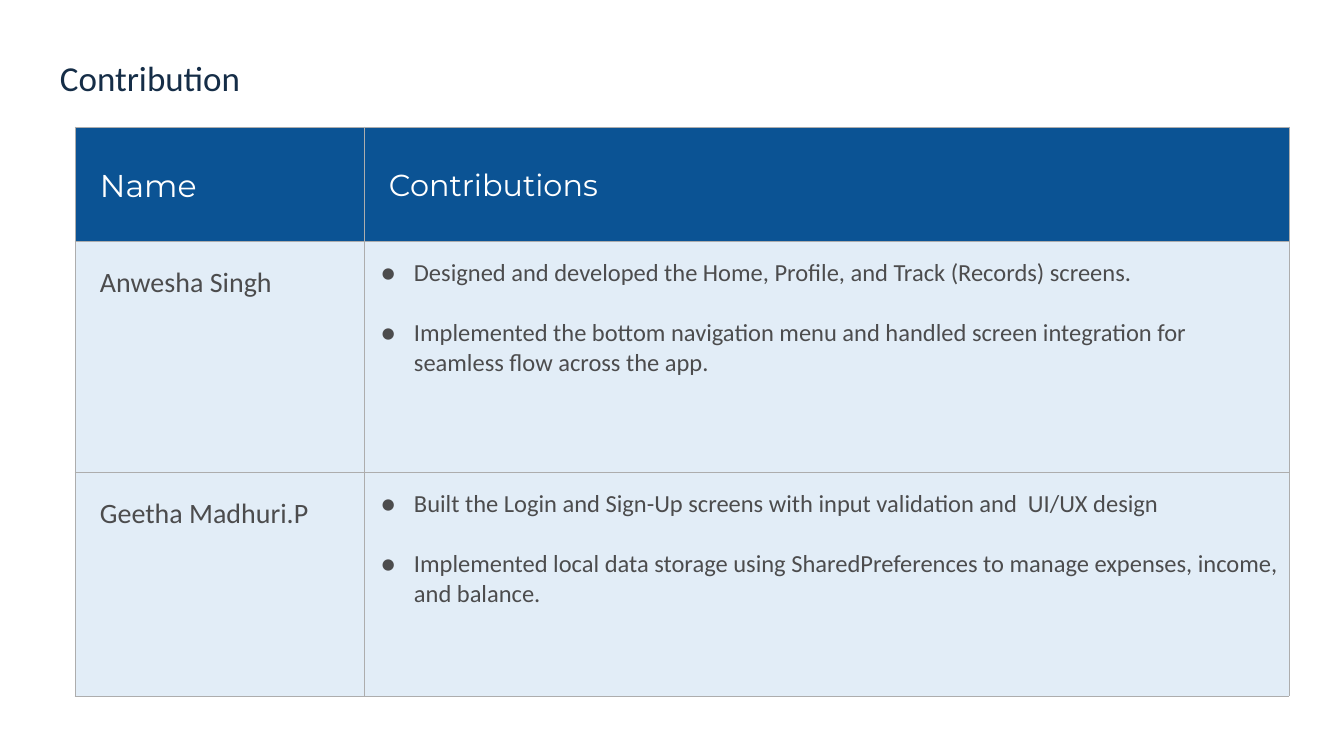
from lxml.etree import SubElement
from pptx import Presentation
from pptx.dml.color import RGBColor
from pptx.enum.text import MSO_ANCHOR as Anchor, MSO_AUTO_SIZE as AutoSize, PP_ALIGN as Align
from pptx.oxml.ns import qn
from pptx.util import Emu, Pt

PX_PER_INCH = 84
NAVY, BLUE, PALE, GREY, LINE, WHITE = "152D47", "0B5394", "E2EDF7", "4C4C4D", "ADADAD", "FFFFFF"

CONTRIBUTIONS = {
    "Anwesha Singh": [
        "Designed and developed the Home, Profile, and Track (Records) screens.",
        "Implemented the bottom navigation menu and handled screen integration for "
        "seamless flow across the app.",
    ],
    "Geetha Madhuri.P": [
        "Built the Login and Sign-Up screens with input validation and  UI/UX design",
        "Implemented local data storage using SharedPreferences to manage expenses, "
        "income, and balance.",
    ],
}


def px(length):
    return Emu(round(length * 914400 / PX_PER_INCH))


def colour(value):
    return RGBColor.from_string(value)


def set_values(target, values):
    for name, value in values.items():
        setattr(target, name, value)


class SlideBuilder:
    title_style = dict(name="Calibri", size=Pt(30), bold=False)
    name_style = dict(name="Calibri", size=Pt(24), bold=False)
    bullet_style = dict(name="Calibri", size=Pt(21), bold=False)
    bullet_gap = Pt(25.6)

    def __init__(self, deck):
        self.page = deck.slides.add_slide(deck.slide_layouts.get_by_name("Title Only"))
        fill = self.page.background.fill
        fill.solid()
        fill.fore_color.rgb = colour(WHITE)

    def span(self, para, text, style, ink):
        run = para.add_run()
        run.text = text
        set_values(run.font, style)
        run.font.color.rgb = colour(ink)

    def title(self, text, left, top, width, height):
        box = self.page.shapes.title
        set_values(box, dict(left=px(left), top=px(top), width=px(width), height=px(height)))
        inset = px(8)
        set_values(box.text_frame, dict(
            margin_left=inset, margin_right=inset, margin_top=inset, margin_bottom=inset,
            word_wrap=True, auto_size=AutoSize.NONE, vertical_anchor=Anchor.MIDDLE))
        para = box.text_frame.paragraphs[0]
        para.alignment = Align.LEFT
        self.span(para, text, self.title_style, NAVY)

    def table(self, left, top, widths, heights):
        frame = self.page.shapes.add_table(
            len(heights), len(widths), px(left), px(top), px(sum(widths)), px(sum(heights)))
        table = frame.table
        set_values(table, dict(first_row=False, horz_banding=False))
        for column, width in zip(table.columns, widths):
            column.width = px(width)
        for row, height in zip(table.rows, heights):
            row.height = px(height)
        return table

    def cell(self, cell, fill, left, top, anchor=Anchor.TOP):
        set_values(cell, dict(margin_left=px(left), margin_right=px(8), margin_top=px(top),
                              margin_bottom=px(8), vertical_anchor=anchor))
        # Borders come before the fill in the cell properties
        properties = cell._tc.get_or_add_tcPr()
        for side in ("a:lnL", "a:lnR", "a:lnT", "a:lnB"):
            line = SubElement(properties, qn(side), w=str(Pt(0.75)))
            solid = SubElement(line, qn("a:solidFill"))
            SubElement(solid, qn("a:srgbClr"), val=LINE)
        cell.fill.solid()
        cell.fill.fore_color.rgb = colour(fill)
        return cell.text_frame

    def bullets(self, box, items):
        for index, item in enumerate(items):
            para = box.add_paragraph() if index else box.paragraphs[0]
            if index:
                para.space_before = self.bullet_gap
            properties = para._p.get_or_add_pPr()
            properties.set("marL", str(px(42)))
            properties.set("indent", str(px(-33)))
            tint = SubElement(properties, qn("a:buClr"))
            SubElement(tint, qn("a:srgbClr"), val=GREY)
            SubElement(properties, qn("a:buFont"), typeface="Calibri")
            SubElement(properties, qn("a:buChar"), char="●")
            self.span(para, item, self.bullet_style, GREY)


def main():
    deck = Presentation()
    set_values(deck, dict(slide_width=px(1344), slide_height=px(756)))
    builder = SlideBuilder(deck)
    builder.title("Contribution", 52, 46, 455, 63)

    table = builder.table(75, 127, widths=[289, 925], heights=[114, 231, 224])

    # Header row
    for column, (heading, size) in enumerate([("Name", 27), ("Contributions", 26)]):
        box = builder.cell(table.cell(0, column), BLUE, 25, 12, Anchor.MIDDLE)
        style = dict(name="Montserrat", size=Pt(size), bold=False)
        builder.span(box.paragraphs[0], heading, style, WHITE)

    # One row per person
    for row, (person, items) in enumerate(CONTRIBUTIONS.items(), start=1):
        box = builder.cell(table.cell(row, 0), PALE, 25, 25)
        builder.span(box.paragraphs[0], person, builder.name_style, GREY)
        builder.bullets(builder.cell(table.cell(row, 1), PALE, 8, 17), items)

    deck.save("out.pptx")


if __name__ == "__main__":
    main()
